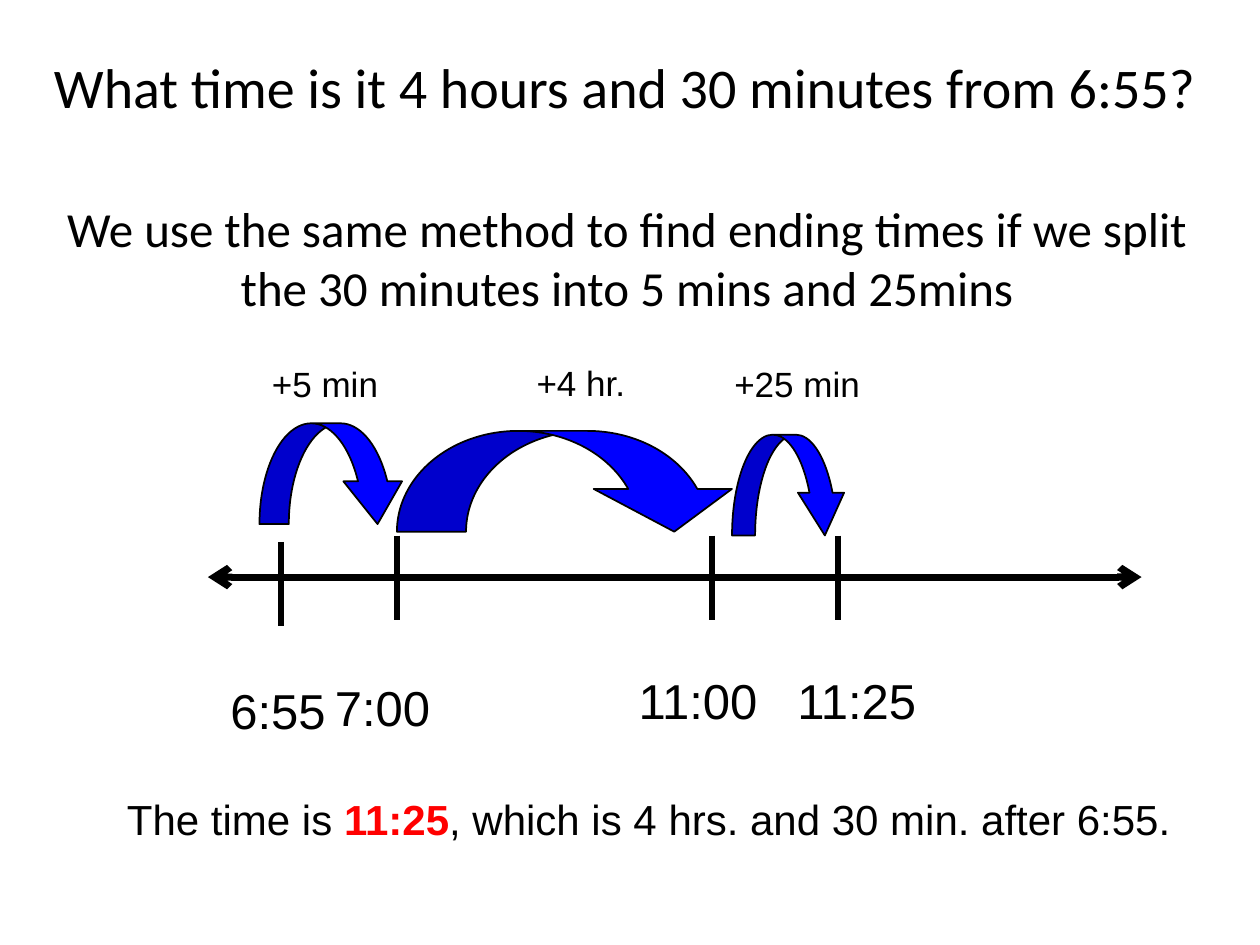
from lxml import etree
from pptx import Presentation
from pptx.dml.color import RGBColor
from pptx.enum.shapes import MSO_CONNECTOR, MSO_SHAPE
from pptx.enum.text import MSO_AUTO_SIZE, PP_ALIGN
from pptx.oxml.ns import qn
from pptx.util import Inches, Pt

BLACK = RGBColor(0, 0, 0)
BLUE = RGBColor(0, 0, 255)
RED = RGBColor(255, 0, 0)
STRAIGHT = MSO_CONNECTOR.STRAIGHT
CURVED_DOWN = MSO_SHAPE.CURVED_DOWN_ARROW
FIT_SHAPE = MSO_AUTO_SIZE.SHAPE_TO_FIT_TEXT
LEFT, CENTER = PP_ALIGN.LEFT, PP_ALIGN.CENTER

QUESTION = "What time is it 4 hours and 30 minutes from 6:55?"
METHOD = ("We use the same method to find ending times if we split "
          "the 30 minutes into 5 mins and 25mins")
ANSWER = [("The time is ", {}), ("11:25", {"bold": True, "color": RED}),
          (", which is 4 hrs. and 30 min. after 6:55.", {})]

TICKS = [(2.23, 4.3), (3.15, 4.25), (5.65, 4.25), (6.65, 4.25)]
TICK_HEIGHT = 0.67
JUMPS = [(2.06, 3.36, 1.17, 0.291), (3.15, 3.42, 2.75, 0.686),
         (5.81, 3.45, 0.92, 0.229)]
JUMP_HEIGHT = 0.8
JUMP_LABELS = [("+5 min", 2.06, 2.83, 1.04), ("+4 hr.", 4.16, 2.82, 0.92),
               ("+25 min", 5.73, 2.83, 1.2)]
TIME_LABELS = [("6:55", 1.73, 5.35, 0.96), ("7:00", 2.56, 5.33, 0.96),
               ("11:00", 4.97, 5.27, 1.18), ("11:25", 6.23, 5.27, 1.18)]


def add_run(p, text, size, font, color=BLACK, bold=False):
    """Add a formatted run to a paragraph."""
    r = p.add_run()
    r.text = text
    for name, value in {"size": Pt(size), "name": font, "bold": bold}.items():
        setattr(r.font, name, value)
    r.font.color.rgb = color


def add_heading(s):
    """Add the question and the method below it."""
    tf = s.shapes.add_textbox(Inches(0.33), Inches(0.37),
                              Inches(9.29), Inches(4.95)).text_frame
    tf.word_wrap = True
    p = tf.paragraphs[0]
    p.alignment = LEFT
    add_run(p, QUESTION, 32, "Calibri")
    p = tf.add_paragraph()
    p.alignment = CENTER
    p.space_before = Pt(45)
    add_run(p, METHOD, 28, "Calibri")


def add_label(s, runs, x, y, w, h, size):
    """Add a one-line text box made of (text, format) runs."""
    tf = s.shapes.add_textbox(Inches(x), Inches(y), Inches(w), Inches(h)).text_frame
    tf.word_wrap = False
    tf.auto_size = FIT_SHAPE
    for text, fmt in runs:
        add_run(tf.paragraphs[0], text, size, "Arial", **fmt)


def add_line(s, x1, y1, x2, y2, width, arrows=False):
    """Add a black line, with open arrowheads at both ends if asked."""
    line = s.shapes.add_connector(STRAIGHT, Inches(x1), Inches(y1),
                                  Inches(x2), Inches(y2))
    line.line.color.rgb = BLACK
    line.line.width = Pt(width)
    if arrows:
        ln = line.line._get_or_add_ln()
        for end in ("a:headEnd", "a:tailEnd"):
            etree.SubElement(ln, qn(end), type="arrow")
    etree.SubElement(line._element.spPr, qn("a:effectLst"))


def add_jump(s, x, y, w, thickness):
    """Add a curved arrow whose head is twice as wide as its band."""
    sp = s.shapes.add_shape(CURVED_DOWN, Inches(x), Inches(y),
                            Inches(w), Inches(JUMP_HEIGHT))
    for i, value in enumerate((thickness, 2 * thickness, 0.424)):
        sp.adjustments[i] = value
    sp.shadow.inherit = False
    sp.fill.solid()
    sp.fill.fore_color.rgb = BLUE
    sp.line.color.rgb = BLACK
    sp.line.width = Pt(1)


def main():
    """Build the elapsed-time slide and save it."""
    prs = Presentation()
    prs.slide_width, prs.slide_height = Inches(10), Inches(7.5)
    s = prs.slides.add_slide(prs.slide_layouts[6])
    add_heading(s)
    add_line(s, 1.65, 4.58, 9.06, 4.58, 4, arrows=True)
    for x, y in TICKS:
        add_line(s, x, y, x, y + TICK_HEIGHT, 3)
    for jump in JUMPS:
        add_jump(s, *jump)
    for text, x, y, w in JUMP_LABELS:
        add_label(s, [(text, {})], x, y, w, 0.43, 20)
    for text, x, y, w in TIME_LABELS:
        add_label(s, [(text, {})], x, y, w, 0.57, 28)
    add_label(s, ANSWER, 0.91, 6.25, 8.5, 0.5, 24)
    prs.save("out.pptx")


if __name__ == "__main__":
    main()
